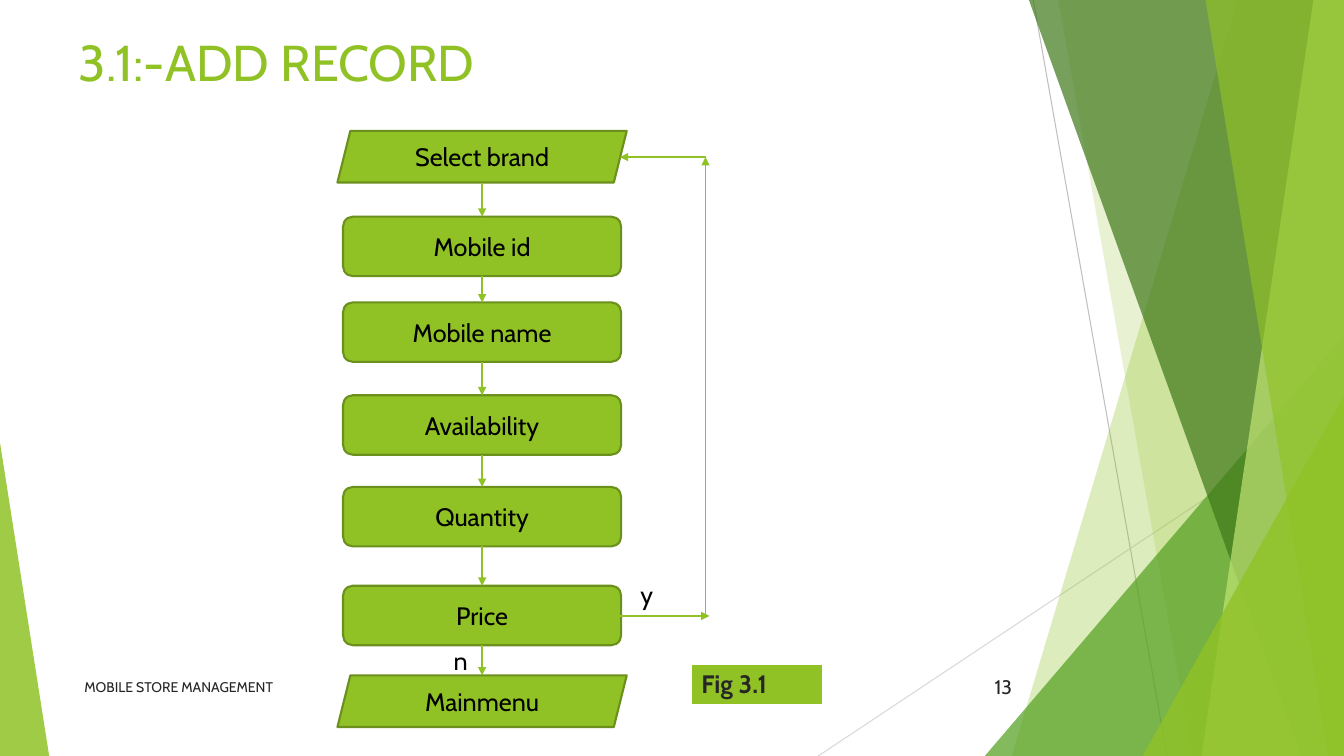
from dataclasses import dataclass
from itertools import pairwise

from lxml.etree import SubElement
from pptx import Presentation
from pptx.dml.color import RGBColor
from pptx.enum.shapes import MSO_CONNECTOR as Connector, MSO_SHAPE as Preset
from pptx.enum.text import MSO_ANCHOR as Anchor, PP_ALIGN as Align
from pptx.oxml import parse_xml
from pptx.oxml.ns import nsdecls, qn
from pptx.util import Cm, Pt

WIDTH, HEIGHT = 33.87, 19.05


@dataclass(frozen=True)
class Theme:
    font: str = "Cabin"
    green: str = "90C226"
    outline: str = "6B901C"
    leaf: str = "54A021"
    forest: str = "3F7819"
    lime: str = "C0E474"
    black: str = "000000"
    dark: str = "262626"
    white: str = "FFFFFF"
    guide: str = "BFBFBF"
    pale_guide: str = "D9D9D9"
    title: int = 36
    body: int = 18
    number: int = 14
    footer: int = 10


THEME = Theme()


@dataclass(frozen=True)
class Ribbon:
    """Band reaching the right edge, with a slanted left side."""
    top_x: float
    bottom_x: float
    color: str
    opacity: int


@dataclass(frozen=True)
class Corner:
    """Triangle standing on the bottom edge; apex is 0 (left) or 1 (right)."""
    left: float
    width: float
    height: float
    apex: int
    color: str
    opacity: int


@dataclass(frozen=True)
class Step:
    text: str
    top: float
    preset: Preset = Preset.ROUNDED_RECTANGLE
    width: float = 7.01
    height: float = 1.5


@dataclass(frozen=True)
class Label:
    text: str
    left: float
    top: float
    width: float
    size: int = THEME.body
    color: str = THEME.black
    align: Align = Align.CENTER
    anchor: Anchor = Anchor.TOP
    wrap: bool = False


FACETS = [
    Ribbon(31.19, 25.5, THEME.green, 30),
    Ribbon(26.67, 30.05, THEME.green, 20),
    Corner(24.82, 9.05, 10.59, 1, THEME.leaf, 72),
    Ribbon(25.93, 32.79, THEME.forest, 70),
    Ribbon(33.1, 30.28, THEME.lime, 70),
    Ribbon(30.38, 33.48, THEME.green, 65),
    Corner(28.8, 5.07, 9.07, 1, THEME.green, 80),
    Corner(0, 1.24, 7.9, 0, THEME.green, 85),
]
FLOW_CENTER = 12.15
STEPS = [
    Step("Select brand", 3.3, Preset.PARALLELOGRAM, 7.29, 1.3),
    Step("Mobile id", 5.46),
    Step("Mobile name", 7.62),
    Step("Availability", 9.96),
    Step("Quantity", 12.27),
    Step("Price", 14.76),
    Step("Mainmenu", 17.02, Preset.PARALLELOGRAM, 7.29, 1.3),
]
LOOP_X, LOOP_TOP, LOOP_BOTTOM = 17.78, 3.96, 15.52
LOOP = [
    (13.39, LOOP_BOTTOM, LOOP_X + 0.1, LOOP_BOTTOM),
    (LOOP_X, LOOP_BOTTOM, LOOP_X, LOOP_TOP),
    (LOOP_X, LOOP_TOP, 15.62, LOOP_TOP),
]
LABELS = [
    Label("y", 15.88, 14.48, 0.84),
    Label("n", 11.18, 16.13, 0.86),
    Label("13", 23.85, 16.79, 1.91, THEME.number, THEME.dark,
          Align.RIGHT, Anchor.MIDDLE, True),
    Label("MOBILE STORE MANAGEMENT", 1.88, 16.79, 17.5, THEME.footer,
          THEME.dark, Align.LEFT, Anchor.MIDDLE, True),
]


def rgb(color: str) -> RGBColor:
    return RGBColor.from_string(color)


def write(text_frame, text: str, size: int, color: str,
          align: Align = Align.LEFT, bold: bool = False) -> None:
    text_frame.text = text
    paragraph = text_frame.paragraphs[0]
    paragraph.alignment = align
    font = paragraph.runs[0].font
    font.name, font.size, font.bold = THEME.font, Pt(size), bold
    font.color.rgb = rgb(color)


def draw_line(slide, x1: float, y1: float, x2: float, y2: float,
              color: str, width: float, arrow: bool = False) -> None:
    connector = slide.shapes.add_connector(
        Connector.STRAIGHT, Cm(x1), Cm(y1), Cm(x2), Cm(y2))
    connector.line.color.rgb = rgb(color)
    connector.line.width = Pt(width)
    properties = connector._element.spPr
    if arrow:
        SubElement(properties.find(qn("a:ln")), qn("a:tailEnd"), type="triangle")
    SubElement(properties, qn("a:effectLst"))


def draw_arrow(slide, x1: float, y1: float, x2: float, y2: float) -> None:
    draw_line(slide, x1, y1, x2, y2, THEME.green, 1, arrow=True)


def draw_facet(slide, facet: Ribbon | Corner) -> None:
    if isinstance(facet, Ribbon):
        builder = slide.shapes.build_freeform(Cm(facet.top_x), Cm(0), scale=1.0)
        corners = [(WIDTH, 0), (WIDTH, HEIGHT), (facet.bottom_x, HEIGHT)]
        builder.add_line_segments([(Cm(x), Cm(y)) for x, y in corners], close=True)
        shape = builder.convert_to_shape()
    else:
        shape = slide.shapes.add_shape(
            Preset.ISOSCELES_TRIANGLE, Cm(facet.left), Cm(HEIGHT - facet.height),
            Cm(facet.width), Cm(facet.height))
        shape.adjustments[0] = facet.apex
    shape.shadow.inherit = False
    shape.line.fill.background()
    shape.fill.solid()
    shape.fill.fore_color.rgb = rgb(facet.color)
    color = shape._element.spPr.find(qn("a:solidFill")).find(qn("a:srgbClr"))
    SubElement(color, qn("a:alpha"), val=str(facet.opacity * 1000))


def draw_step(slide, step: Step) -> None:
    shape = slide.shapes.add_shape(
        step.preset, Cm(FLOW_CENTER - step.width / 2), Cm(step.top),
        Cm(step.width), Cm(step.height))
    shape.shadow.inherit = False
    shape.fill.solid()
    shape.fill.fore_color.rgb = rgb(THEME.green)
    shape.line.color.rgb = rgb(THEME.outline)
    shape.line.width = Pt(1.5)
    shape.text_frame.vertical_anchor = Anchor.MIDDLE
    write(shape.text_frame, step.text, THEME.body, THEME.black, Align.CENTER)


def draw_label(slide, label: Label) -> None:
    text_frame = slide.shapes.add_textbox(
        Cm(label.left), Cm(label.top), Cm(label.width), Cm(1.02)).text_frame
    text_frame.word_wrap = label.wrap
    text_frame.vertical_anchor = label.anchor
    write(text_frame, label.text, label.size, label.color, label.align)


def draw_caption(slide) -> None:
    """One-cell table with white borders that names the figure."""
    table = slide.shapes.add_table(
        1, 1, Cm(17.42), Cm(16.74), Cm(3.3), Cm(1.04)).table
    cell = table.cell(0, 0)
    write(cell.text_frame, "Fig 3.1", THEME.body, THEME.dark, bold=True)
    cell.fill.solid()
    cell.fill.fore_color.rgb = rgb(THEME.green)
    properties = cell._tc.get_or_add_tcPr()
    for index, (side, width) in enumerate([("L", 1), ("R", 1), ("T", 1), ("B", 3)]):
        properties.insert(index, parse_xml(
            f'<a:ln{side} {nsdecls("a")} w="{Pt(width)}"><a:solidFill>'
            f'<a:srgbClr val="{THEME.white}"/></a:solidFill></a:ln{side}>'))


def place_title(slide) -> None:
    title = slide.shapes.title
    title.left, title.top = Cm(1.45), Cm(0.66)
    title.width, title.height = Cm(23.52), Cm(1.98)
    title.text_frame.margin_left = Cm(0.53)
    title.text_frame.vertical_anchor = Anchor.TOP
    write(title.text_frame, "3.1:-ADD RECORD", THEME.title, THEME.green)


def main() -> None:
    presentation = Presentation()
    presentation.slide_width, presentation.slide_height = Cm(WIDTH), Cm(HEIGHT)
    slide = presentation.slides.add_slide(presentation.slide_layouts[5])
    draw_line(slide, 26.04, 0, 29.41, HEIGHT, THEME.guide, 0.75)
    draw_line(slide, WIDTH, 10.24, 20.62, HEIGHT, THEME.pale_guide, 0.75)
    for facet in FACETS:
        draw_facet(slide, facet)
    place_title(slide)
    for step in STEPS:
        draw_step(slide, step)
    for upper, lower in pairwise(STEPS):
        draw_arrow(slide, FLOW_CENTER, upper.top + upper.height, FLOW_CENTER, lower.top)
    for segment in LOOP:
        draw_arrow(slide, *segment)
    draw_caption(slide)
    for label in LABELS:
        draw_label(slide, label)
    presentation.save("out.pptx")


if __name__ == "__main__":
    main()
